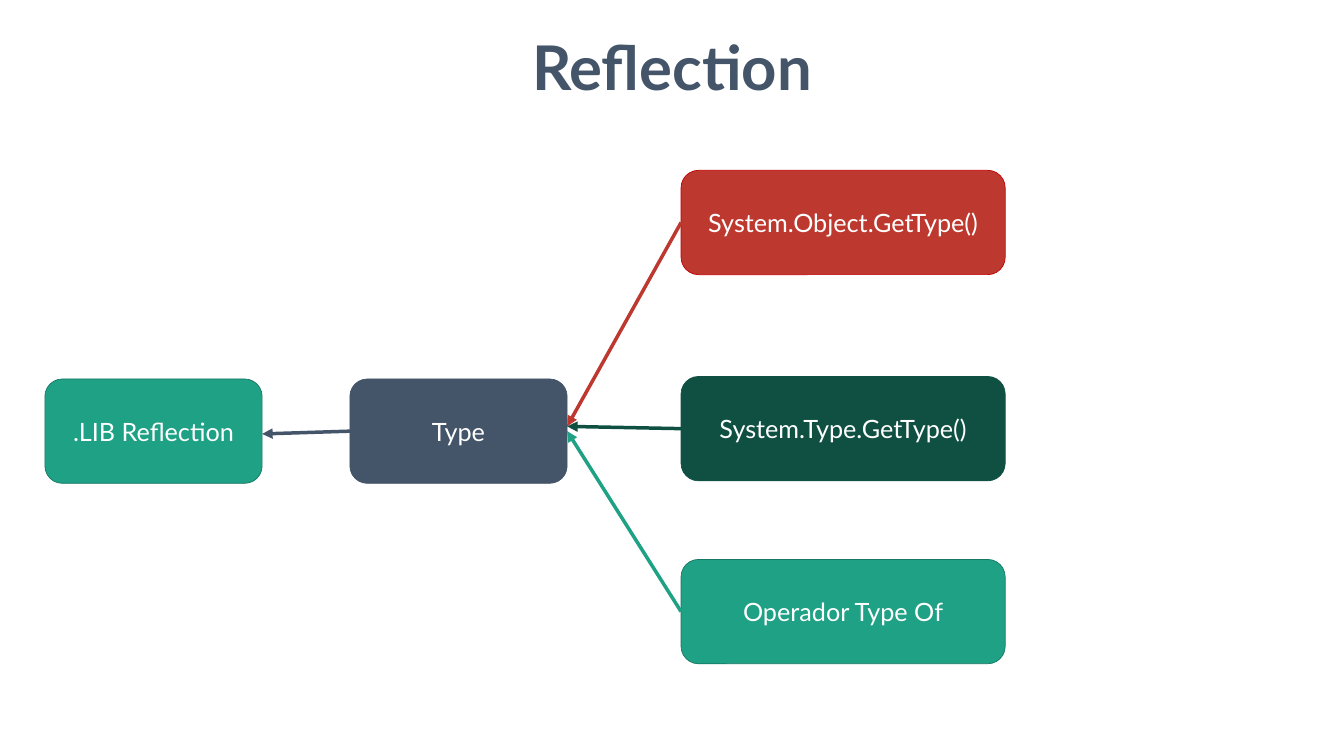
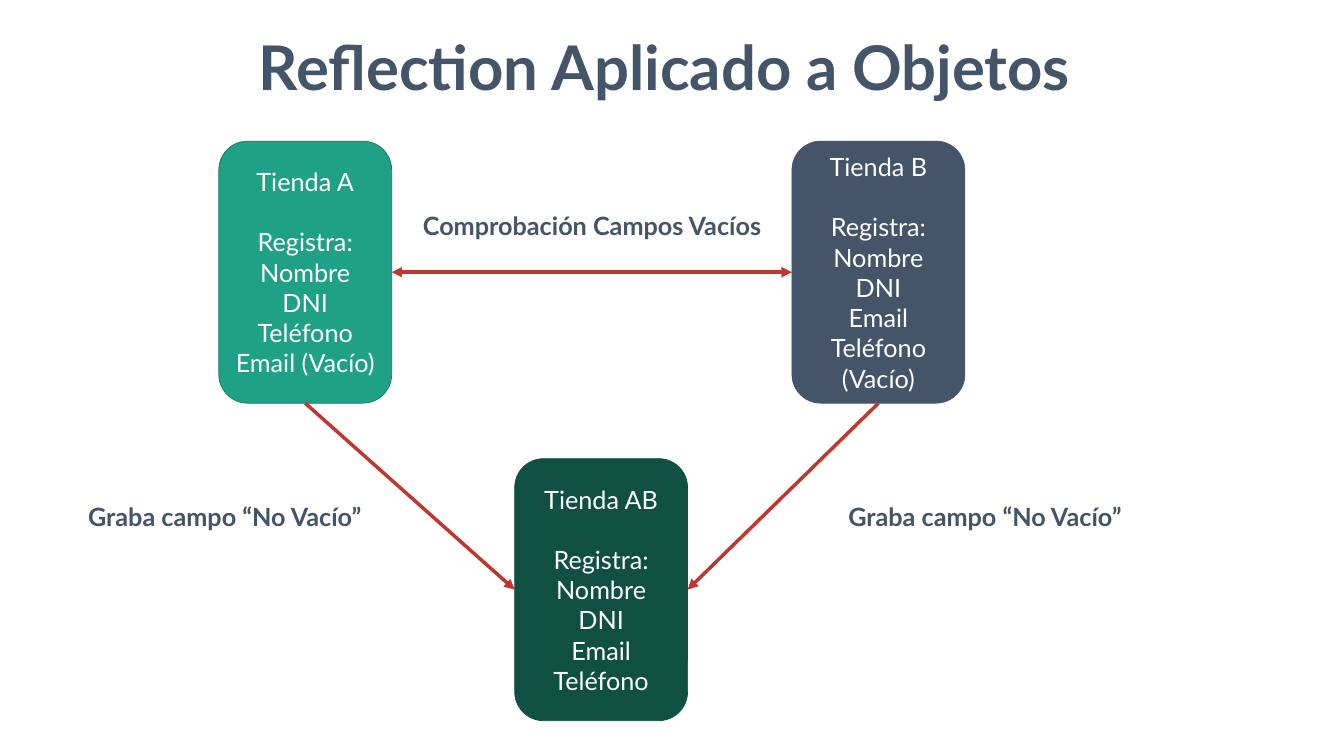
from lxml import etree
from pptx import Presentation
from pptx.dml.color import RGBColor
from pptx.enum.shapes import MSO_CONNECTOR, MSO_SHAPE
from pptx.enum.text import MSO_ANCHOR, MSO_AUTO_SIZE, PP_ALIGN
from pptx.oxml.ns import qn
from pptx.util import Inches, Pt

SLIDE_WIDTH, SLIDE_HEIGHT = 26.66, 15
FONT = "Lato"
WHITE = RGBColor(0xFF, 0xFF, 0xFF)
SLATE = RGBColor(0x44, 0x54, 0x69)
GREEN = RGBColor(0x1E, 0xA1, 0x85)
GREEN_EDGE = RGBColor(0x16, 0x77, 0x62)
DARK_GREEN = RGBColor(0x0F, 0x50, 0x43)
RED = RGBColor(0xBD, 0x39, 0x2F)
RED_EDGE = RGBColor(0xC0, 0x00, 0x00)
EDGES = {GREEN: GREEN_EDGE, RED: RED_EDGE}

TOP, LEFT, BOTTOM, RIGHT = range(4)
HEADING_GAP = 43.2  # one line of 36 pt text


def write(frame, lines, size=36, color=WHITE, bold=False,
          align=PP_ALIGN.CENTER, heading_gap=0):
    for index, line in enumerate(lines):
        paragraph = frame.paragraphs[0] if index == 0 else frame.add_paragraph()
        paragraph.alignment = align
        if index == 0 and heading_gap:
            paragraph.space_after = Pt(heading_gap)
        run = paragraph.add_run()
        run.text = line
        run.font.name = FONT
        run.font.size = Pt(size)
        run.font.bold = bold
        run.font.color.rgb = color


def add_label(slide, box, text, wrap=False, **style):
    label = slide.shapes.add_textbox(*map(Inches, box))
    frame = label.text_frame
    frame.word_wrap = wrap
    frame.auto_size = MSO_AUTO_SIZE.SHAPE_TO_FIT_TEXT
    write(frame, [text], color=SLATE, bold=True, **style)


def add_title(slide, text, left=0, width=SLIDE_WIDTH):
    add_label(slide, (left, 0.53, width, 1.58), text, wrap=True, size=88)


def add_card(slide, box, lines, fill, heading_gap=0):
    card = slide.shapes.add_shape(MSO_SHAPE.ROUNDED_RECTANGLE, *map(Inches, box))
    card.shadow.inherit = False
    card.fill.solid()
    card.fill.fore_color.rgb = fill
    card.line.color.rgb = EDGES.get(fill, fill)
    card.line.width = Pt(1)
    card.text_frame.word_wrap = True
    card.text_frame.vertical_anchor = MSO_ANCHOR.MIDDLE
    write(card.text_frame, lines, heading_gap=heading_gap)
    return card


def add_arrow(slide, start, end, color, both_ways=False):
    """Each end is a (card, side) pair; end may also be an (x, y) point in inches."""
    arrow = slide.shapes.add_connector(MSO_CONNECTOR.STRAIGHT, 0, 0, 0, 0)
    arrow.begin_connect(*start)
    if isinstance(end[0], float):
        arrow.end_x, arrow.end_y = map(Inches, end)
    else:
        arrow.end_connect(*end)
    arrow.line.color.rgb = color
    arrow.line.width = Pt(5)
    line = arrow.line._get_or_add_ln()
    for tag in ("a:headEnd", "a:tailEnd") if both_ways else ("a:tailEnd",):
        etree.SubElement(line, qn(tag), type="triangle")
    etree.SubElement(arrow._element.spPr, qn("a:effectLst"))


def build_type_sources(slide):
    add_title(slide, "Reflection", left=6.57, width=13.52)
    height = 2.07
    reflection, type_card = [
        add_card(slide, (left, 7.52, 4.31, height), [text], fill)
        for left, text, fill in ((0.89, ".LIB Reflection", GREEN), (6.94, "Type", SLATE))
    ]
    above_middle = (11.25, 8.46)
    sources = (
        (3.38, "System.Object.GetType()", RED, above_middle),
        (7.47, "System.Type.GetType()", DARK_GREEN, above_middle),
        (11.1, "Operador Type Of", GREEN, (type_card, RIGHT)),
    )
    cards = [add_card(slide, (13.51, top, 6.43, height), [text], fill)
             for top, text, fill, _ in sources]
    for card, (_, _, color, target) in zip(cards, sources):
        add_arrow(slide, (card, LEFT), target, color)
    add_arrow(slide, (type_card, LEFT), (5.2, 8.61), SLATE)


def build_store_merge(slide):
    add_title(slide, "Reflection Aplicado a Objetos ")
    common = ["Registra:", "Nombre", "DNI"]
    stores = (
        (4.34, 2.8, "Tienda A", ["Teléfono", "Email (Vacío)"], GREEN),
        (15.71, 2.8, "Tienda B", ["Email", "Teléfono (Vacío)"], SLATE),
        (10.21, 9.1, "Tienda AB", ["Email", "Teléfono"], DARK_GREEN),
    )
    store_a, store_b, store_ab = [
        add_card(slide, (left, top, 3.43, 5.2), [name, *common, *fields], fill, HEADING_GAP)
        for left, top, name, fields, fill in stores
    ]
    add_arrow(slide, (store_b, LEFT), (store_a, RIGHT), RED, both_ways=True)
    add_arrow(slide, (store_a, BOTTOM), (store_ab, LEFT), RED)
    add_arrow(slide, (store_b, BOTTOM), (store_ab, RIGHT), RED)
    add_label(slide, (8.29, 4.12, 7.35, 0.71), "Comprobación Campos Vacíos",
              align=PP_ALIGN.LEFT)
    for left in (1.65, 16.73):
        add_label(slide, (left, 9.9, 6.07, 0.71), "Graba campo “No Vacío”",
                  align=PP_ALIGN.LEFT)


def main():
    presentation = Presentation()
    presentation.slide_width = Inches(SLIDE_WIDTH)
    presentation.slide_height = Inches(SLIDE_HEIGHT)
    blank = presentation.slide_layouts[6]
    for build in (build_type_sources, build_store_merge):
        build(presentation.slides.add_slide(blank))
    presentation.save("out.pptx")


if __name__ == "__main__":
    main()
